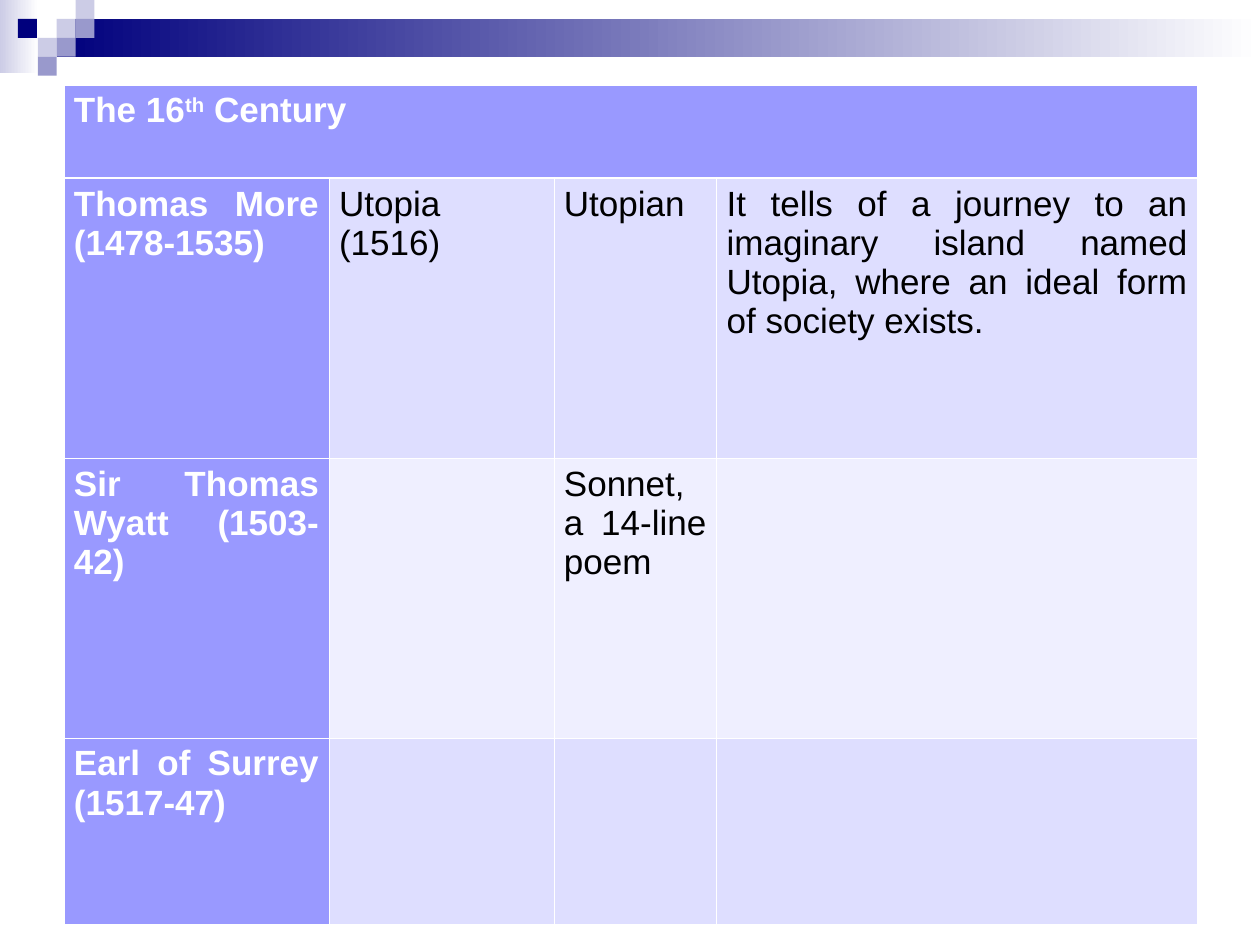
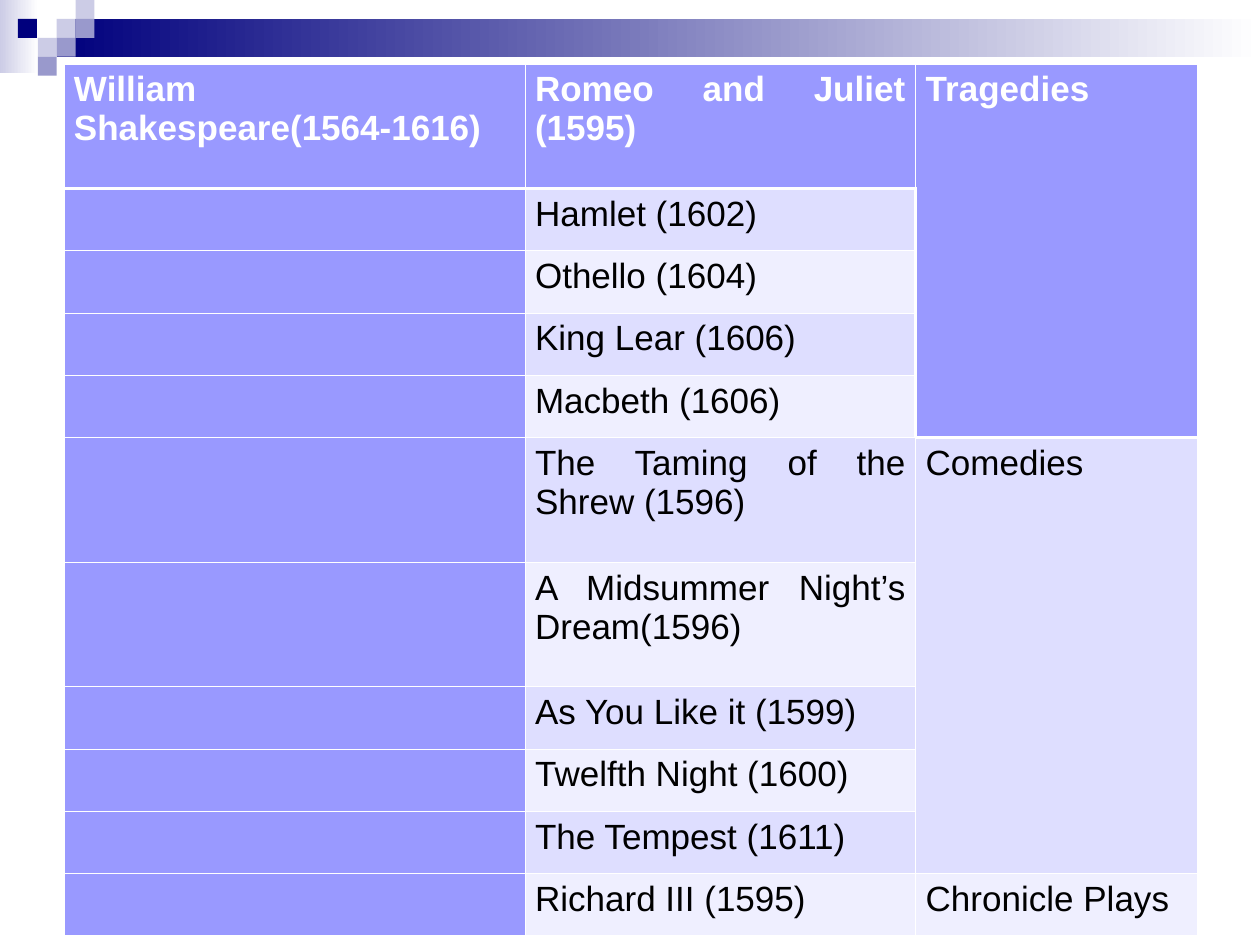
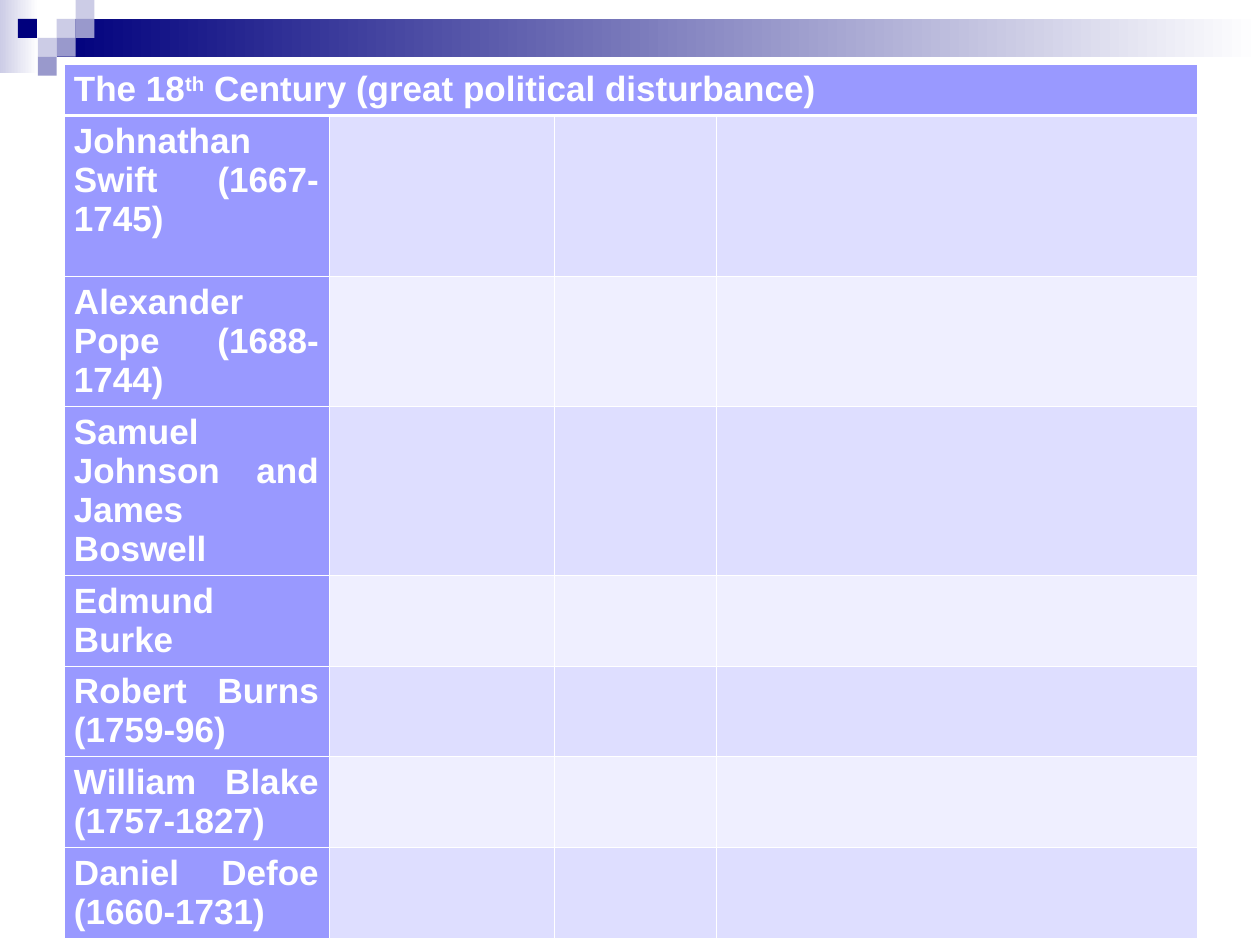
from lxml import etree
from pptx import Presentation
from pptx.dml.color import RGBColor
from pptx.enum.shapes import MSO_SHAPE
from pptx.enum.text import PP_ALIGN
from pptx.oxml.ns import qn
from pptx.util import Pt

RECTANGLE = MSO_SHAPE.RECTANGLE
JUSTIFY = PP_ALIGN.JUSTIFY

FONT = "Arial"
TEXT_SIZE = 20
WHITE, BLACK = "FFFFFF", "000000"
NAVY, SLATE, MIST = "00007D", "9999CC", "CCCCE6"
HEADING_FILL = "9999FF"
BAND_FILLS = ("EFEFFF", "DEDEFF")
THIN, THICK = 0.45, 1.47
SIDES = {"L": (0, -1), "R": (0, 1), "T": (-1, 0), "B": (1, 0)}

TILE = 10.8
TILES = [
    (3, 1, MIST), (4, 0, MIST), (4, 1, SLATE), (2, 2, MIST),
    (0.95, 1, NAVY), (3, 2, SLATE), (2, 3, SLATE),
]

CENTURY_COLUMNS = [151.5, 128.5, 93, 275]
PLAY_COLUMNS = [263.5, 223.25, 161.25]

SIXTEENTH_CENTURY = [
    ["The 16^th^ Century"],
    ["Thomas More (1478-1535)", "Utopia (1516)", "Utopian",
     "It tells of a journey to an imaginary island named Utopia, "
     "where an ideal form of society exists."],
    ["Sir Thomas Wyatt (1503-42)", "", "Sonnet, a 14-line poem"],
    ["Earl of Surrey (1517-47)"],
]
SHAKESPEARE = [
    ["William Shakespeare(1564-1616)", "Romeo and Juliet (1595)", "Tragedies"],
    ["", "Hamlet (1602)"],
    ["", "Othello (1604)"],
    ["", "King Lear (1606)"],
    ["", "Macbeth (1606)"],
    ["", "The Taming of the Shrew (1596)", "Comedies"],
    ["", "A Midsummer Night’s Dream(1596)"],
    ["", "As You Like it (1599)"],
    ["", "Twelfth Night (1600)"],
    ["", "The Tempest (1611)"],
    ["", "Richard III (1595)", "Chronicle Plays"],
]
EIGHTEENTH_CENTURY = [
    ["The 18^th^ Century (great political disturbance)"],
    ["Johnathan Swift (1667-1745)"],
    ["Alexander Pope (1688-1744)"],
    ["Samuel Johnson and James Boswell"],
    ["Edmund Burke"],
    ["Robert Burns (1759-96)"],
    ["William Blake (1757-1827)"],
    ["Daniel Defoe (1660-1731)"],
]


def paint(fill, *colours):
    """Fill with one colour, or fade from left to right between two."""
    if len(colours) == 1:
        fill.solid()
        fill.fore_color.rgb = RGBColor.from_string(colours[0])
        return
    fill.gradient()
    fill.gradient_angle = 0
    for position, (stop, colour) in enumerate(zip(fill.gradient_stops, colours)):
        stop.color.rgb = RGBColor.from_string(colour)
        stop.position = position


def add_block(shapes, left, top, width, height, *colours):
    """Add a borderless rectangle."""
    block = shapes.add_shape(RECTANGLE, Pt(left), Pt(top), Pt(width), Pt(height))
    block.shadow.inherit = False
    block.line.fill.background()
    paint(block.fill, *colours)


def add_banner(slide, width):
    """Draw the faded band and its mosaic of tiles along the top."""
    shapes = slide.shapes.add_group_shape().shapes
    add_block(shapes, 0, 0, 22, 42, MIST, WHITE)
    add_block(shapes, 3 * TILE, TILE, width - 3 * TILE, 2 * TILE, NAVY, WHITE)
    for column, row, colour in TILES:
        add_block(shapes, column * TILE, row * TILE, TILE, TILE, colour)


def write_cell(cell, text, colour, bold):
    """Write justified text in which ^ marks enclose a superscript."""
    paragraph = cell.text_frame.paragraphs[0]
    paragraph.alignment = JUSTIFY
    for index, part in enumerate(text.split("^")):
        run = paragraph.add_run()
        run.text = part
        run.font.name = FONT
        run.font.size = Pt(TEXT_SIZE)
        run.font.bold = bold
        paint(run.font.fill, colour)
        if index % 2:
            run.font._element.set("baseline", "30000")


def add_border(cell, side, width):
    """Add a white border to one side of a cell."""
    properties = cell._tc.get_or_add_tcPr()
    line = etree.SubElement(properties, qn(f"a:ln{side}"), w=str(int(Pt(width))))
    solid = etree.SubElement(line, qn("a:solidFill"))
    etree.SubElement(solid, qn("a:srgbClr"), val=WHITE)


def add_reading_table(slide, left, top, widths, heights, entries, merges):
    """Build a table with a heading row, heading column and banded body."""
    frame = slide.shapes.add_table(
        len(heights), len(widths), Pt(left), Pt(top), Pt(sum(widths)), Pt(sum(heights)))
    table = frame.table
    for column, width in zip(table.columns, widths):
        column.width = Pt(width)
    for row, height in zip(table.rows, heights):
        row.height = Pt(height)

    headings = {(0, column) for column in range(len(widths))}
    for first_row, first_column, last_row, last_column in merges:
        table.cell(first_row, first_column).merge(table.cell(last_row, last_column))
        if first_row == 0:
            headings |= {(row, column) for row in range(last_row + 1)
                         for column in range(first_column, last_column + 1)}

    for row in range(len(heights)):
        for column in range(len(widths)):
            cell = table.cell(row, column)
            cell.margin_left = cell.margin_right = Pt(5.76)
            cell.margin_top = cell.margin_bottom = Pt(3.6)
            is_heading = (row, column) in headings
            for side, (down, across) in SIDES.items():
                near = (row + down, column + across)
                inside = 0 <= near[0] < len(heights) and 0 <= near[1] < len(widths)
                parts_heading = inside and (near in headings) != is_heading
                add_border(cell, side, THICK if parts_heading else THIN)
            emphasised = is_heading or column == 0
            paint(cell.fill, HEADING_FILL if emphasised else BAND_FILLS[row % 2])
            text = entries[row][column] if column < len(entries[row]) else ""
            if text:
                write_cell(cell, text, WHITE if emphasised else BLACK, emphasised)


def main():
    """Build the three literature slides."""
    deck = Presentation()
    deck.slide_width, deck.slide_height = Pt(720), Pt(540)
    century_title = [(0, 0, 0, 3)]
    play_genres = [(0, 2, 4, 2), (5, 2, 9, 2)]
    single, double = 35.6, 71.2
    play_heights = [double] + [single] * 4 + [double] * 2 + [single] * 4
    pages = [
        (48.5, CENTURY_COLUMNS, [53.25, 160, 160, 106.5], SIXTEENTH_CENTURY, century_title),
        (36.5, PLAY_COLUMNS, play_heights, SHAKESPEARE, play_genres),
        (36.5, CENTURY_COLUMNS, [24, 92, 72, 96] + [48] * 4, EIGHTEENTH_CENTURY, century_title),
    ]
    for top, *content in pages:
        slide = deck.slides.add_slide(deck.slide_layouts[6])
        add_banner(slide, 720)
        add_reading_table(slide, 36.5, top, *content)
    deck.save("out.pptx")


if __name__ == "__main__":
    main()
